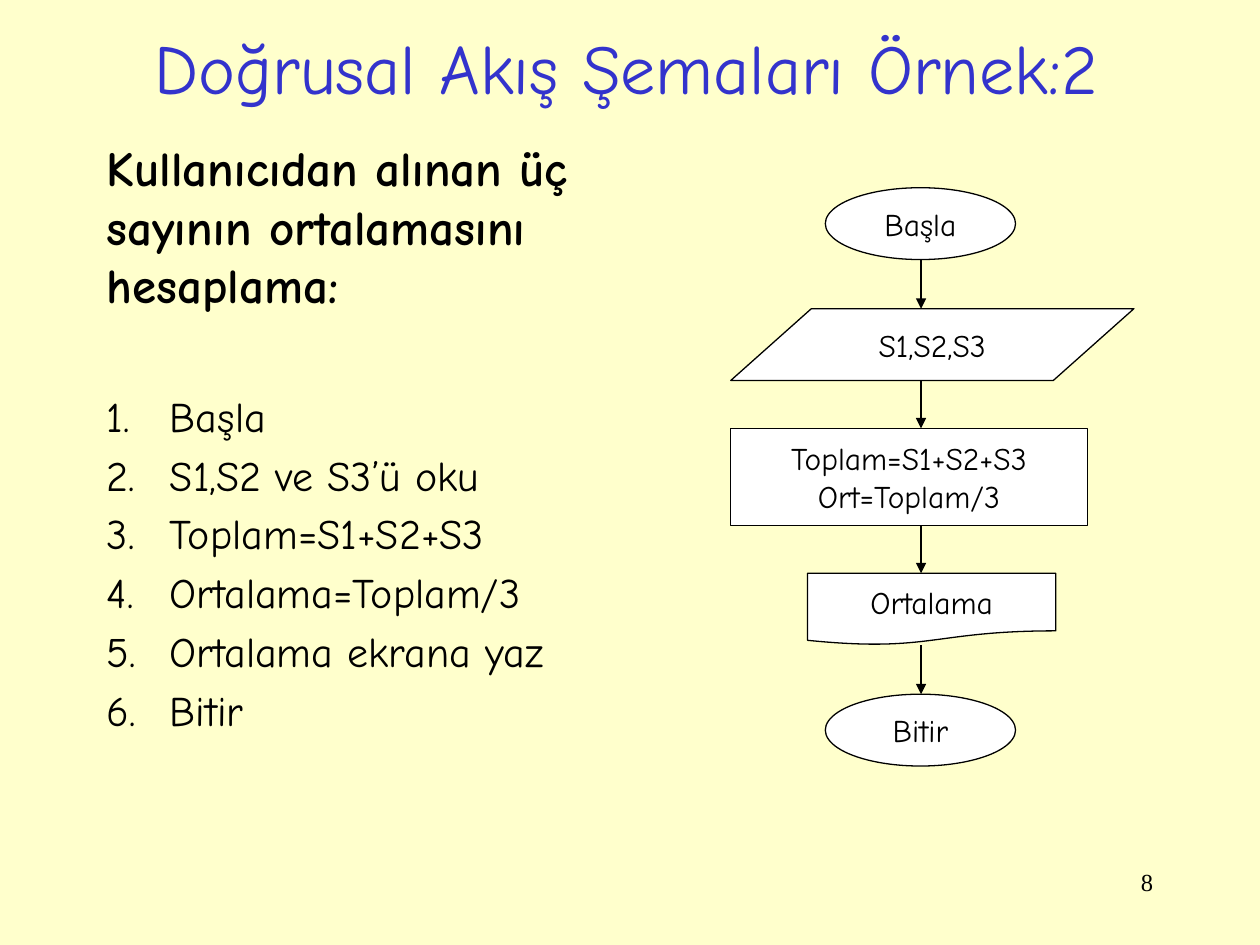
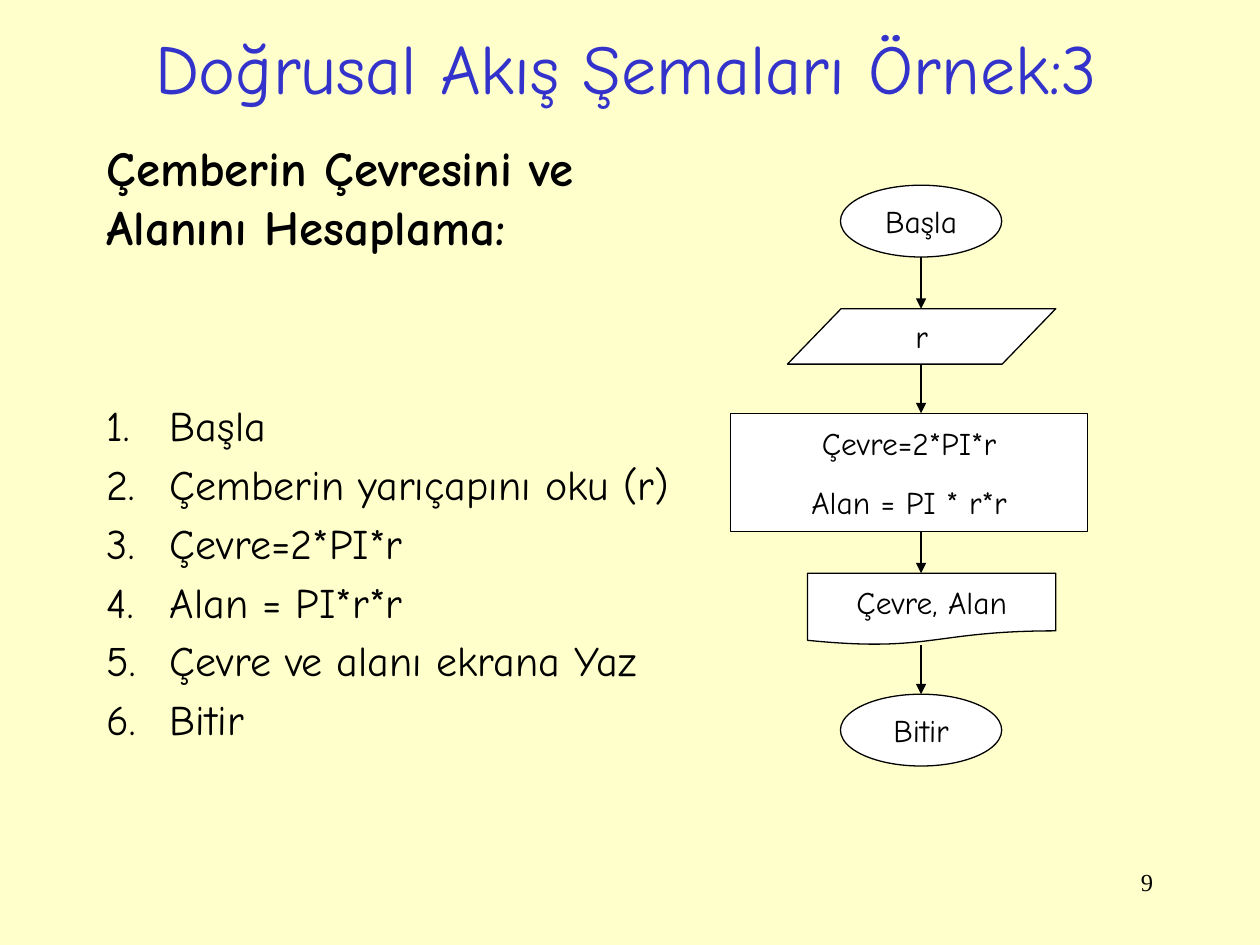
from dataclasses import dataclass
from lxml import etree
from pptx import Presentation
from pptx.dml.color import RGBColor
from pptx.enum.shapes import MSO_CONNECTOR, MSO_SHAPE
from pptx.enum.text import MSO_ANCHOR, PP_ALIGN
from pptx.oxml.ns import qn
from pptx.util import Inches, Pt

TERMINAL = MSO_SHAPE.FLOWCHART_CONNECTOR
INPUT = MSO_SHAPE.FLOWCHART_DATA
PROCESS = MSO_SHAPE.FLOWCHART_PROCESS
DOCUMENT = MSO_SHAPE.FLOWCHART_DOCUMENT
STRAIGHT = MSO_CONNECTOR.STRAIGHT
LEFT, CENTER, RIGHT = PP_ALIGN.LEFT, PP_ALIGN.CENTER, PP_ALIGN.RIGHT
TOP, MIDDLE = MSO_ANCHOR.TOP, MSO_ANCHOR.MIDDLE


@dataclass(frozen=True)
class Theme:
    paper: RGBColor = RGBColor(0xFF, 0xFF, 0xCC)
    heading: RGBColor = RGBColor(0x33, 0x33, 0xCC)
    ink: RGBColor = RGBColor(0, 0, 0)
    white: RGBColor = RGBColor(0xFF, 0xFF, 0xFF)
    font: str = "Comic Neue"
    number_font: str = "Times New Roman"
    title: float = 40
    task: float = 28
    step: float = 24
    node: float = 18
    number: float = 14
    line: float = 0.75
    space: float = 0.2  # space before a paragraph, as a share of its type size


THEME = Theme()
ARROW_X = 7.31

# Content: each node is (shape, lines, left, top, width, height)
LESSONS = [
    {
        "title": "Doğrusal Akış Şemaları Örnek:2",
        "number": "8",
        "task": "Kullanıcıdan alınan üç sayının ortalamasını hesaplama:",
        "steps": ["Başla", "S1,S2 ve S3’ü oku", "Toplam=S1+S2+S3",
                  "Ortalama=Toplam/3", "Ortalama ekrana yaz", "Bitir"],
        "body_width": 4.17,
        "list_gap": 39,
        "line_gap": 0,
        "nodes": [
            (TERMINAL, ["Başla"], 6.55, 1.49, 1.51, 0.57),
            (INPUT, ["S1,S2,S3"], 5.8, 2.45, 3.2, 0.57),
            (PROCESS, ["Toplam=S1+S2+S3", "Ort=Toplam/3"], 5.8, 3.4, 2.83, 0.77),
            (DOCUMENT, ["Ortalama"], 6.41, 4.55, 1.97, 0.57),
            (TERMINAL, ["Bitir"], 6.55, 5.51, 1.51, 0.57),
        ],
    },
    {
        "title": "Doğrusal Akış Şemaları Örnek:3",
        "number": "9",
        "task": "Çemberin Çevresini ve Alanını Hesaplama:",
        "steps": ["Başla", "Çemberin yarıçapını oku (r)", "Çevre=2*PI*r",
                  "Alan = PI*r*r", "Çevre ve alanı ekrana Yaz", "Bitir"],
        "body_width": 4.88,
        "list_gap": 78,
        "line_gap": 12.5,
        "nodes": [
            (TERMINAL, ["Başla"], 6.67, 1.47, 1.28, 0.57),
            (INPUT, ["r"], 6.25, 2.45, 2.13, 0.44),
            (PROCESS, ["Çevre=2*PI*r", "Alan = PI * r*r"], 5.8, 3.28, 2.83, 0.94),
            (DOCUMENT, ["Çevre, Alan"], 6.41, 4.55, 1.97, 0.57),
            (TERMINAL, ["Bitir"], 6.67, 5.51, 1.28, 0.57),
        ],
    },
]


def write(box, lines, size, align, anchor=TOP, color=THEME.ink, font=THEME.font):
    """Fill a box with one paragraph per line and return the paragraphs."""
    frame = box.text_frame
    frame.text = "\n".join(lines)
    frame.word_wrap = True
    frame.vertical_anchor = anchor
    for para in frame.paragraphs:
        para.alignment = align
        for span in para.runs:
            span.font.name = font
            span.font.size = Pt(size)
            span.font.color.rgb = color
    return frame.paragraphs


def add_text(page, place, *args, **style):
    box = page.shapes.add_textbox(*map(Inches, place))
    return write(box, *args, **style)


def number_steps(paras):
    for para in paras:
        props = para._p.get_or_add_pPr()
        props.set("marL", str(Inches(0.5)))
        props.set("indent", str(-Inches(0.5)))
        etree.SubElement(props, qn("a:buFont"), typeface="+mj-lt")
        etree.SubElement(props, qn("a:buAutoNum"), type="arabicPeriod")


def add_body(page, lesson):
    place = (0.75, 1.04, lesson["body_width"], 5.63)
    task, *steps = add_text(page, place, [lesson["task"], *lesson["steps"]],
                            THEME.step, LEFT)
    task.space_before = Pt(THEME.task * THEME.space)
    task.runs[0].font.size = Pt(THEME.task)
    task.runs[0].font.bold = True
    for para in steps:
        para.space_before = Pt(THEME.step * THEME.space)
    steps[0].space_before = Pt(THEME.step * THEME.space + lesson["list_gap"])
    number_steps(steps)


def add_node(chart, kind, lines, place, line_gap):
    node = chart.shapes.add_shape(kind, *map(Inches, place))
    node.shadow.inherit = False
    node.fill.solid()
    node.fill.fore_color.rgb = THEME.white
    node.line.color.rgb = THEME.ink
    node.line.width = Pt(THEME.line)
    for para in write(node, lines, THEME.node, CENTER, MIDDLE)[1:]:
        para.space_before = Pt(line_gap)


def add_arrow(chart, start, end):
    arrow = chart.shapes.add_connector(
        STRAIGHT, Inches(ARROW_X), Inches(start), Inches(ARROW_X), Inches(end))
    arrow.line.color.rgb = THEME.ink
    arrow.line.width = Pt(THEME.line)
    etree.SubElement(arrow.line._get_or_add_ln(), qn("a:tailEnd"), type="triangle")
    etree.SubElement(arrow._element.spPr, qn("a:effectLst"))


def add_flowchart(page, lesson):
    chart = page.shapes.add_group_shape()
    nodes = lesson["nodes"]
    for kind, lines, *place in nodes:
        add_node(chart, kind, lines, place, lesson["line_gap"])
    # Each arrow runs from the foot of a node to the top of the next one
    for upper, lower in zip(nodes, nodes[1:]):
        add_arrow(chart, upper[3] + upper[5], lower[3])


deck = Presentation()
deck.slide_width, deck.slide_height = Inches(10), Inches(7.5)
paper = deck.slide_master.background.fill
paper.solid()
paper.fore_color.rgb = THEME.paper

for lesson in LESSONS:
    page = deck.slides.add_slide(deck.slide_layouts[6])
    add_text(page, (0.72, 0.15, 8.5, 0.76), [lesson["title"]], THEME.title, CENTER,
             anchor=MIDDLE, color=THEME.heading)
    add_body(page, lesson)
    add_text(page, (7.17, 6.83, 2.08, 0.5), [lesson["number"]], THEME.number, RIGHT,
             font=THEME.number_font)
    add_flowchart(page, lesson)

deck.save("out.pptx")
